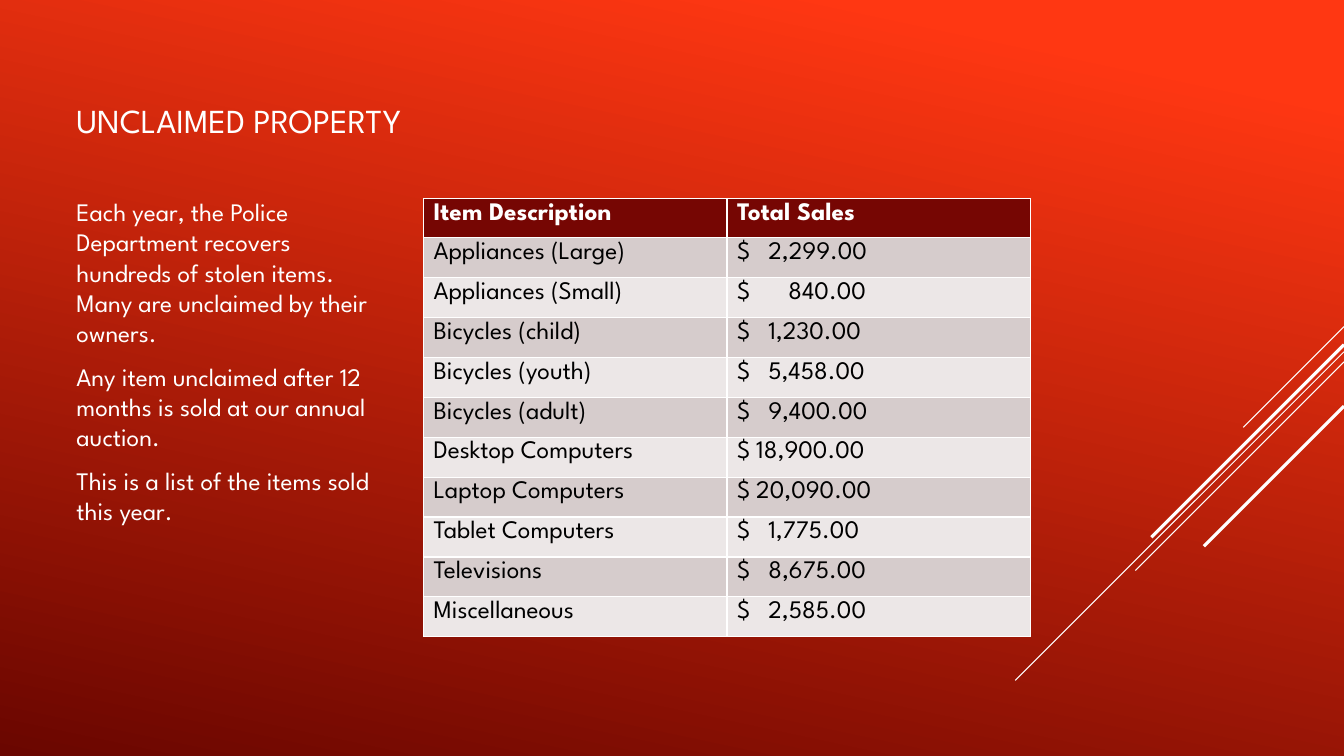
from lxml.etree import SubElement
from pptx import Presentation
from pptx.dml.color import RGBColor
from pptx.enum.shapes import MSO_CONNECTOR
from pptx.enum.text import MSO_ANCHOR
from pptx.oxml.ns import qn
from pptx.util import Inches, Pt

COLORS = {
    "white": "FFFFFF",
    "black": "000000",
    "bright_red": "FF3712",
    "deep_red": "6A0600",
    "header": "760603",
    "odd_row": "D6CCCC",
    "even_row": "ECE7E7",
}
FONT = "League Spartan"
SLIDE_WIDTH = 13.33

INTRODUCTION = [
    "Each year, the Police Department recovers hundreds of stolen items. "
    "Many are unclaimed by their owners.",
    "Any item unclaimed after 12 months is sold at our annual auction.",
    "This is a list of the items sold this year.",
]
SALES = [
    ("Appliances (Large)", "2,299.00"),
    ("Appliances (Small)", "840.00"),
    ("Bicycles (child)", "1,230.00"),
    ("Bicycles (youth)", "5,458.00"),
    ("Bicycles (adult)", "9,400.00"),
    ("Desktop Computers", "18,900.00"),
    ("Laptop Computers", "20,090.00"),
    ("Tablet Computers", "1,775.00"),
    ("Televisions", "8,675.00"),
    ("Miscellaneous", "2,585.00"),
]
# Distance from the dollar sign's left edge, by length of the amount
AMOUNT_TABS = {len("840.00"): 0.51, len("2,299.00"): 0.31,
               len("18,900.00"): 0.19}
HEADER_HEIGHT = 0.39
ROW_HEIGHT = 3.96 / len(SALES)
# Start height on the right edge, horizontal run and line width
DIAGONALS = [
    (3.24, 1.0, 0.75),
    (3.49, 3.26, 0.75),
    (3.59, 2.07, 0.75),
    (3.42, 1.91, 2.25),
    (4.03, 1.39, 2.25),
]


def color(name):
    return RGBColor.from_string(COLORS[name])


def write(paragraph, text, size=18, color_name="white", bold=False,
          before=0, after=0):
    paragraph.space_before, paragraph.space_after = Pt(before), Pt(after)
    run = paragraph.add_run()
    run.text = text
    run.font.name, run.font.size, run.font.bold = FONT, Pt(size), bold
    run.font.color.rgb = color(color_name)


def add_tab(paragraph, position):
    tabs = SubElement(paragraph._p.get_or_add_pPr(), qn("a:tabLst"))
    SubElement(tabs, qn("a:tab"), pos=str(Inches(position)), algn="l")


class SlideBuilder:
    def __init__(self, slide):
        self.slide = slide

    def background(self):
        fill = self.slide.background.fill
        fill.gradient()
        fill.gradient_angle = 360 - 102
        stops = ((0.1, "bright_red"), (1.0, "deep_red"))
        for stop, (position, name) in zip(fill.gradient_stops, stops):
            stop.position = position
            stop.color.rgb = color(name)

    def diagonal(self, start, run, width):
        """Draw a 45 degree line down and left from the right edge."""
        connector = self.slide.shapes.add_connector(
            MSO_CONNECTOR.STRAIGHT, Inches(SLIDE_WIDTH), Inches(start),
            Inches(SLIDE_WIDTH - run), Inches(start + run))
        connector.line.color.rgb = color("white")
        connector.line.width = Pt(width)
        SubElement(connector._element.spPr, qn("a:effectLst"))

    def text(self, box, texts, anchor=MSO_ANCHOR.TOP, **text_format):
        shape = self.slide.shapes.add_textbox(*map(Inches, box))
        frame = shape.text_frame
        frame.word_wrap = True
        frame.vertical_anchor = anchor
        for index, text in enumerate(texts):
            paragraph = frame.add_paragraph() if index else frame.paragraphs[0]
            write(paragraph, text, **text_format)

    def sales_table(self, box, header, sales):
        """Fill the table; its white borders come from the default style."""
        rows = [header] + [(item, f"$\t{amount}") for item, amount in sales]
        table = self.slide.shapes.add_table(
            len(rows), len(header), *map(Inches, box)).table
        for row_index, values in enumerate(rows):
            is_header = row_index == 0
            table.rows[row_index].height = Inches(
                HEADER_HEIGHT if is_header else ROW_HEIGHT)
            if is_header:
                fill_name = "header"
            else:
                fill_name = "odd_row" if row_index % 2 else "even_row"
            for column_index, value in enumerate(values):
                cell = table.cell(row_index, column_index)
                cell.margin_top = cell.margin_bottom = Inches(0.04)
                cell.fill.solid()
                cell.fill.fore_color.rgb = color(fill_name)
                paragraph = cell.text_frame.paragraphs[0]
                write(paragraph, value, bold=is_header,
                      color_name="white" if is_header else "black")
                if "\t" in value:
                    amount = value.split("\t")[1]
                    add_tab(paragraph, AMOUNT_TABS[len(amount)])


def main():
    presentation = Presentation()
    presentation.slide_width = Inches(SLIDE_WIDTH)
    presentation.slide_height = Inches(7.5)
    builder = SlideBuilder(
        presentation.slides.add_slide(presentation.slide_layouts[6]))

    builder.background()
    for diagonal in DIAGONALS:
        builder.diagonal(*diagonal)
    builder.text((0.66, 0.51, 4, 0.93), ["UNCLAIMED PROPERTY"],
                 anchor=MSO_ANCHOR.BOTTOM, size=24)
    builder.sales_table((4.2, 1.97, 6.02, 4.35),
                        ("Item Description", "Total Sales"), SALES)
    builder.text((0.66, 1.9, 3.25, 4.14), INTRODUCTION, before=3.6, after=6)
    presentation.save("out.pptx")


if __name__ == "__main__":
    main()
